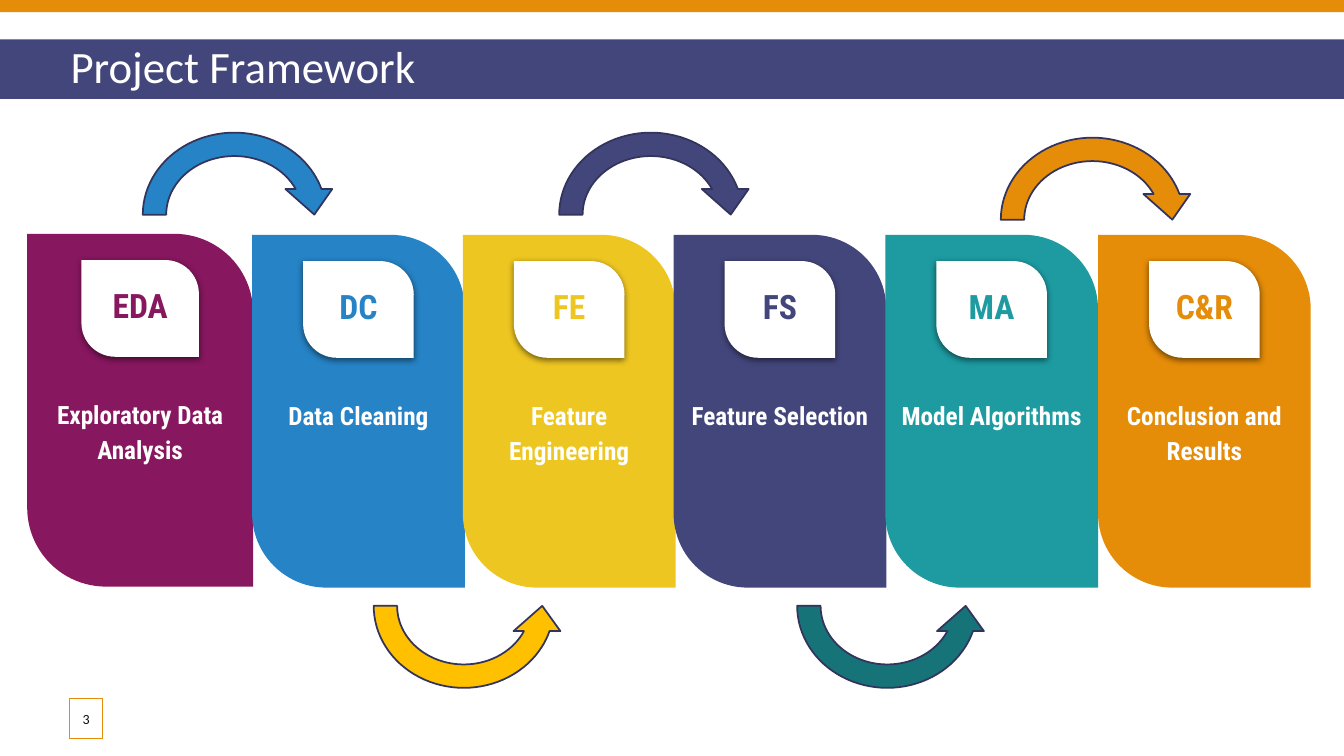
"""Build the Project Framework slide: six stage cards linked by curved arrows."""
from lxml import etree
from pptx import Presentation
from pptx.dml.color import RGBColor
from pptx.enum import shapes, text
from pptx.oxml import ns
from pptx.util import Inches, Pt

COLORS = {
    "white": "FFFFFF", "ink": "0D0D0D", "outline": "32345B", "plum": "87175F",
    "blue": "2683C6", "yellow": "EEC621", "indigo": "43467B", "teal": "1D9BA1",
    "orange": "E58C09", "amber": "FFC000", "pine": "167479",
}
SHAPE = shapes.MSO_SHAPE


def add_shape(parent, kind, box, fill, line=None, width=1.25):
    sp = parent.add_shape(kind, *[Inches(v) for v in box])
    sp.shadow.inherit = False
    sp.fill.solid()
    sp.fill.fore_color.rgb = RGBColor.from_string(COLORS[fill])
    if line:
        sp.line.color.rgb = RGBColor.from_string(COLORS[line])
        sp.line.width = Pt(width)
    else:
        sp.line.fill.background()
    return sp


def write(sp, words, size, color, font, bold, align, margins, spacing=1.0, after=0):
    tf = sp.text_frame
    tf.word_wrap = True
    for side, margin in zip(("left", "top", "right", "bottom"), margins):
        setattr(tf, f"margin_{side}", Inches(margin))
    p = tf.paragraphs[0]
    for name, value in {"alignment": align, "line_spacing": spacing,
                        "space_before": Pt(0), "space_after": Pt(after)}.items():
        setattr(p, name, value)
    r = p.add_run()
    r.text = words
    for name, value in {"name": font, "size": Pt(size), "bold": bold}.items():
        setattr(r.font, name, value)
    r.font.color.rgb = RGBColor.from_string(COLORS[color])


prs = Presentation()
prs.slide_width, prs.slide_height = Inches(13.33), Inches(7.5)
s = prs.slides.add_slide(prs.slide_layouts[5])

title = s.shapes.title
for name, value in {"left": 0, "top": 0.39, "width": 13.33, "height": 0.59}.items():
    setattr(title, name, Inches(value))
title.fill.solid()
title.fill.fore_color.rgb = RGBColor.from_string(COLORS["indigo"])
write(title, "Project Framework", 32, "white", "Calibri", False,
      text.PP_ALIGN.LEFT, (0.7, 0.05, 0.1, 0.05), 0.9)
title.text_frame.auto_size = text.MSO_AUTO_SIZE.NONE
title.text_frame.vertical_anchor = text.MSO_ANCHOR.MIDDLE

add_shape(s.shapes, SHAPE.RECTANGLE, (0, 0, 13.33, 0.12), "orange")

CARD_HEIGHT, BADGE_HEIGHT = 3.5, 0.96
stages = [
    ("EDA", "Exploratory Data Analysis", "plum", 0.27, 2.32, 2.24),
    ("DC", "Data Cleaning", "blue", 2.5, 2.33, 2.11),
    ("FE", "Feature Engineering", "yellow", 4.59, 2.33, 2.11),
    ("FS", "Feature Selection", "indigo", 6.68, 2.33, 2.11),
    ("MA", "Model Algorithms", "teal", 8.78, 2.33, 2.11),
    ("C&R", "Conclusion and Results", "orange", 10.89, 2.33, 2.11),
]
for code, label, color, left, top, width in stages:
    group = s.shapes.add_group_shape().shapes
    center = left + width / 2
    badge_width = width * 0.52
    panels = [
        (top, width, CARD_HEIGHT, color),
        (top + 0.26, badge_width, BADGE_HEIGHT, "white"),
    ]
    for y, across, down, fill in panels:
        box = (center - down / 2, y + (down - across) / 2, down, across)
        panel = add_shape(group, SHAPE.ROUND_2_DIAG_RECTANGLE, box, fill)
        panel.rotation = 90
        panel.adjustments[0], panel.adjustments[1] = 0.349, 0
    effects = panel._element.spPr.find(ns.qn("a:effectLst"))
    shadow = etree.SubElement(effects, ns.qn("a:outerShdw"), blurRad=str(Pt(4.5)),
                              dist=str(Pt(1.5)), dir="5400000", rotWithShape="0")
    black = etree.SubElement(shadow, ns.qn("a:srgbClr"), val="000000")
    etree.SubElement(black, ns.qn("a:alpha"), val="50000")
    captions = [
        (label, 18, "white", top + 1.5, width, 0.69),
        (code, 24, color, top + 0.35, badge_width, 0.8),
    ]
    for words, size, ink, y, across, down in captions:
        tb = group.add_textbox(*[Inches(v) for v in (center - across / 2, y, across, down)])
        write(tb, words, size, ink, "Roboto Condensed", True,
              text.PP_ALIGN.CENTER, (0.1,) * 4, 1.15, 16)

arrows = [
    (1.3, 1.2, 2.05, "blue", False),
    (5.43, 1.2, 2.05, "indigo", False),
    (9.81, 1.25, 2.05, "orange", False),
    (3.59, 5.08, 2.02, "amber", True),
    (7.79, 5.08, 2.02, "pine", True),
]
for left, top, width, color, below in arrows:
    arrow = add_shape(s.shapes, SHAPE.CIRCULAR_ARROW, (left, top, width, 1.86), color, "outline")
    if below:
        arrow.rotation = 180
        arrow._element.spPr.find(ns.qn("a:xfrm")).set("flipH", "1")

number = add_shape(s.shapes, SHAPE.RECTANGLE, (0.69, 6.93, 0.33, 0.4), "white", "orange", 0.75)
fill_color = number._element.spPr.find(ns.qn("a:solidFill"))[0]
etree.SubElement(fill_color, ns.qn("a:alpha"), val="82000")
write(number, "3", 10, "ink", "Calibri", False, text.PP_ALIGN.CENTER, (0, 0.05, 0, 0.05))
number.text_frame.vertical_anchor = text.MSO_ANCHOR.MIDDLE

prs.save("out.pptx")
